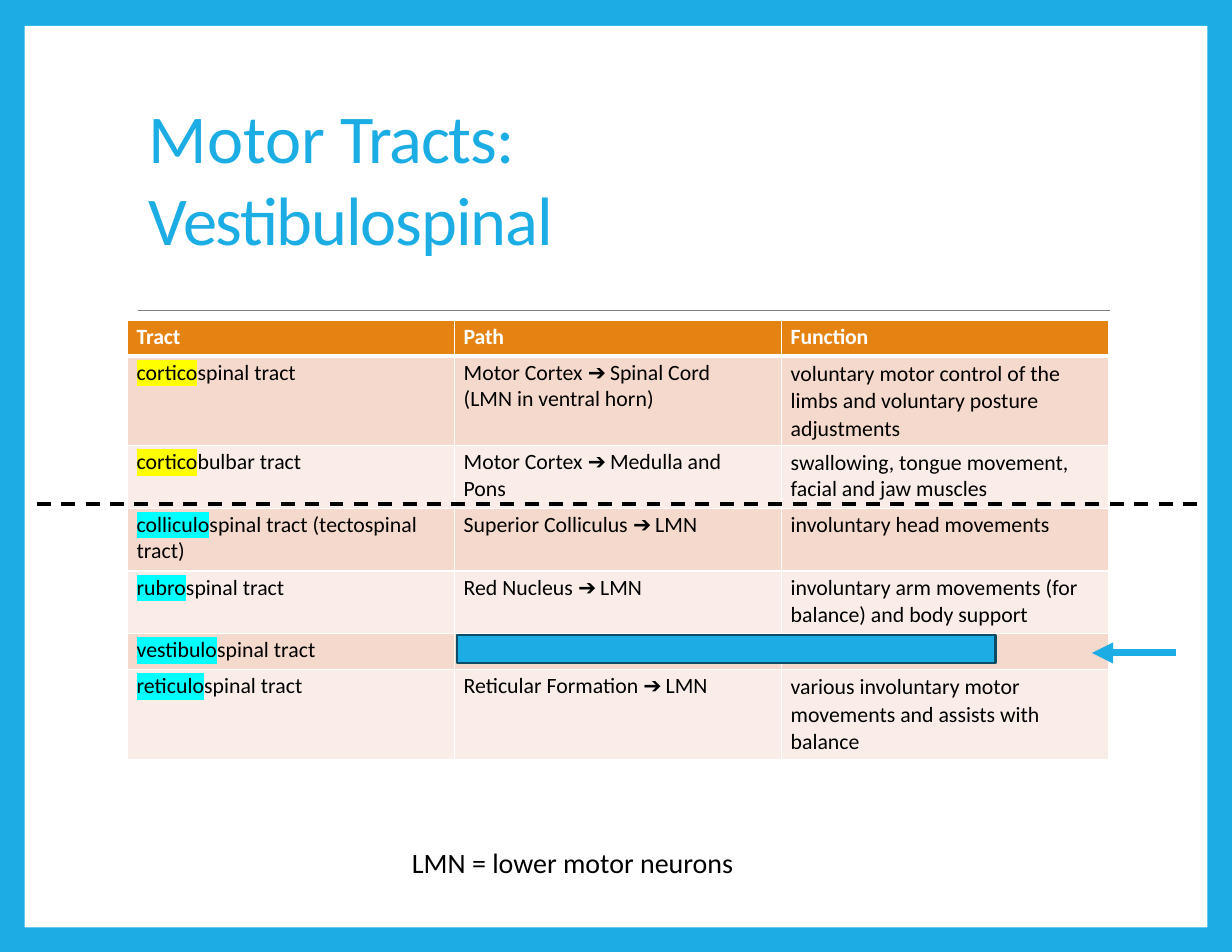
from lxml import etree
from pptx import Presentation
from pptx.dml.color import RGBColor
from pptx.enum.dml import MSO_LINE
from pptx.enum.shapes import MSO_CONNECTOR, MSO_SHAPE
from pptx.enum.text import MSO_ANCHOR
from pptx.oxml.ns import qn
from pptx.util import Inches, Pt

BLUE, WHITE, BLACK = "1CADE4", "FFFFFF", "000000"
ORANGE, ROW_DARK, ROW_LIGHT = "E48312", "F5D9CC", "FAEDE7"
YELLOW, CYAN = "FFFF00", "00FFFF"
ARROW = "\u2794 "
HEADINGS = ["Tract", "Path", "Function"]
TRACTS = [
    ("cortico", "spinal tract", YELLOW, ("Motor Cortex ", "Spinal Cord (LMN in ventral horn)"),
     "voluntary motor control of the limbs and voluntary posture adjustments", 0.8),
    ("cortico", "bulbar tract", YELLOW, ("Motor Cortex ", "Medulla and Pons"),
     "swallowing, tongue movement, facial and jaw muscles", 0.56),
    ("colliculo", "spinal tract (tectospinal tract)", CYAN, ("Superior Colliculus ", "LMN"),
     "involuntary head movements", 0.56),
    ("rubro", "spinal tract", CYAN, ("Red Nucleus ", "LMN"),
     "involuntary arm movements (for balance) and body support", 0.56),
    ("vestibulo", "spinal tract", CYAN, None, None, 0.32),
    ("reticulo", "spinal tract", CYAN, ("Reticular Formation ", "LMN"),
     "various involuntary motor movements and assists with balance", 0.8),
]


def rgb(value):
    return RGBColor.from_string(value)


def add_run(paragraph, text, size, color, font="Calibri", bold=False, spacing=0, highlight=None):
    run = paragraph.add_run()
    run.text = text
    run.font.size = Pt(size)
    run.font.name = font
    run.font.bold = bold
    run.font.color.rgb = rgb(color)
    properties = run.font._element
    if spacing:
        properties.set("spc", str(round(spacing * 100)))
    if highlight:
        mark = etree.Element(qn("a:highlight"))
        etree.SubElement(mark, qn("a:srgbClr"), val=highlight)
        properties.find(qn("a:solidFill")).addnext(mark)


def add_rect(slide, left, top, width, height, fill, line=None, line_width=1):
    rect = slide.shapes.add_shape(MSO_SHAPE.RECTANGLE, Inches(left), Inches(top),
                                  Inches(width), Inches(height))
    rect.shadow.inherit = False
    rect.fill.solid()
    rect.fill.fore_color.rgb = rgb(fill)
    if line:
        rect.line.color.rgb = rgb(line)
        rect.line.width = Pt(line_width)
    else:
        rect.line.fill.background()


def add_line(slide, x1, x2, y, color, width, dash=None, arrow=False):
    line = slide.shapes.add_connector(MSO_CONNECTOR.STRAIGHT, Inches(x1), Inches(y),
                                      Inches(x2), Inches(y))
    line.line.color.rgb = rgb(color)
    line.line.width = Pt(width)
    if dash:
        line.line.dash_style = dash
    properties = line._element.spPr
    if arrow:
        etree.SubElement(properties.find(qn("a:ln")), qn("a:tailEnd"), type="triangle")
    etree.SubElement(properties, qn("a:effectLst"))


def add_text(slide, left, top, width, height, wrap):
    box = slide.shapes.add_textbox(Inches(left), Inches(top), Inches(width), Inches(height))
    box.text_frame.word_wrap = wrap
    return box.text_frame


def style_cell(cell, fill, top_width=1, bottom_width=1):
    cell.margin_left, cell.margin_right = Inches(0.08), Inches(0.24)
    cell.margin_top, cell.margin_bottom = Inches(0.03), 0
    cell.fill.solid()
    cell.fill.fore_color.rgb = rgb(fill)
    properties = cell._tc.get_or_add_tcPr()
    widths = {"lnL": 1, "lnR": 1, "lnT": top_width, "lnB": bottom_width}
    for index, (side, width) in enumerate(widths.items()):
        border = etree.Element(qn("a:" + side), w=str(Pt(width)))
        paint = etree.SubElement(border, qn("a:solidFill"))
        etree.SubElement(paint, qn("a:srgbClr"), val=WHITE)
        properties.insert(index, border)
    paragraph = cell.text_frame.paragraphs[0]
    paragraph.space_before = Pt(2)
    etree.SubElement(paragraph._p, qn("a:endParaRPr"), sz="1400")
    return paragraph


def add_tract_table(slide):
    heights = [0.32] + [tract[-1] for tract in TRACTS]
    table = slide.shapes.add_table(len(heights), 3, Inches(1.14), Inches(2.86),
                                   Inches(8.75), Inches(sum(heights))).table
    for column in table.columns:
        column.width = Inches(2.92)
    for row, height in zip(table.rows, heights):
        row.height = Inches(height)
    for column, heading in enumerate(HEADINGS):
        paragraph = style_cell(table.cell(0, column), ORANGE, bottom_width=3)
        add_run(paragraph, heading, 14, WHITE, bold=True, spacing=-0.1)
    for row, (prefix, rest, mark, route, function, height) in enumerate(TRACTS, 1):
        fill = ROW_DARK if row % 2 else ROW_LIGHT
        name, path, role = [style_cell(table.cell(row, column), fill, 3 if row == 1 else 1)
                            for column in range(3)]
        add_run(name, prefix, 14, BLACK, highlight=mark)
        add_run(name, rest, 14, BLACK)
        if route:
            origin, target = route
            add_run(path, origin, 14, BLACK)
            add_run(path, ARROW, 14, BLACK, font="Arial", spacing=-1.4)
            add_run(path, target, 14, BLACK)
        if function:
            add_run(role, function, 14, BLACK)
            role.line_spacing = 1.04 if height == 0.8 else 1.01


def add_title(slide):
    frame = add_text(slide, 1.33, 0.83, 5.36, 1.5, True)
    frame.margin_left = frame.margin_right = frame.margin_bottom = 0
    frame.margin_top = Inches(0.01)
    frame.vertical_anchor = MSO_ANCHOR.MIDDLE
    paragraph = frame.paragraphs[0]
    add_run(paragraph, "Motor ", 44, BLUE, spacing=-0.1)
    add_run(paragraph, "Tracts: Vestibulospinal", 44, BLUE, spacing=-0.8)


def main():
    deck = Presentation()
    deck.slide_width, deck.slide_height = Inches(11), Inches(8.5)
    slide = deck.slides.add_slide(deck.slide_layouts[6])
    slide.background.fill.solid()
    slide.background.fill.fore_color.rgb = rgb(BLUE)
    add_rect(slide, 0.22, 0.23, 10.56, 8.05, WHITE)
    add_line(slide, 1.23, 9.91, 2.77, "7F7F7F", 0.4)
    add_title(slide)
    add_tract_table(slide)
    legend = add_text(slide, 3.58, 7.5, 3.11, 0.4, False)
    add_run(legend.paragraphs[0], "LMN = lower motor neurons", 18, BLACK)
    add_line(slide, 0.33, 10.75, 4.5, BLACK, 2.25, dash=MSO_LINE.DASH)
    add_line(slide, 10.5, 9.75, 5.83, BLUE, 4.5, arrow=True)
    add_rect(slide, 4.08, 5.67, 4.81, 0.25, BLUE, "0C4C64", 1.5)
    deck.save("out.pptx")


main()
